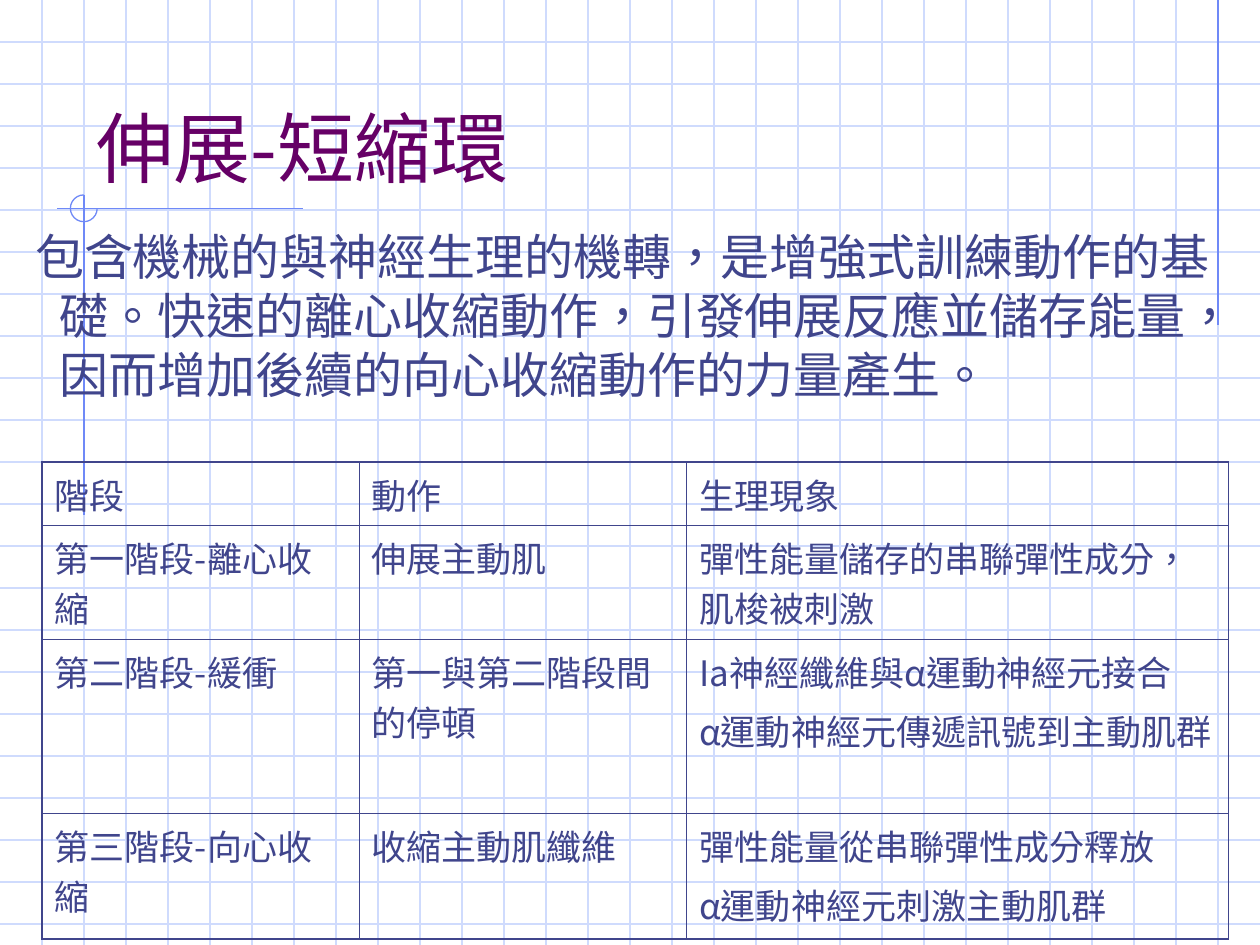
from pptx import Presentation
from pptx import util as u
from pptx.dml.color import RGBColor
from pptx.enum import lang, shapes, text
from pptx.oxml.ns import qn
from lxml import etree

WIDTH, HEIGHT = 25.4, 19.05
GRID_COLUMNS, GRID_ROWS = 30, 22
GRID_STEP = WIDTH / GRID_COLUMNS

TITLE = "伸展-短縮環"
SUMMARY = ("包含機械的與神經生理的機轉，是增強式訓練動作的基礎。"
           "快速的離心收縮動作，引發伸展反應並儲存能量，"
           "因而增加後續的向心收縮動作的力量產生。")
COLUMN_WIDTHS = [6.39, 6.6, 10.93]
ROW_HEIGHTS = [1.27, 2.3, 3.51, 2.54]
# Each cell is a list of paragraphs.
STAGES = [
    [["階段"], ["動作"], ["生理現象"]],
    [["第一階段-離心收縮"], ["伸展主動肌"],
     ["彈性能量儲存的串聯彈性成分，肌梭被刺激"]],
    [["第二階段-緩衝"], ["第一與第二階段間的停頓"],
     ["Ia神經纖維與α運動神經元接合", "α運動神經元傳遞訊號到主動肌群"]],
    [["第三階段-向心收縮"], ["收縮主動肌纖維"],
     ["彈性能量從串聯彈性成分釋放", "α運動神經元刺激主動肌群"]],
]


def color(value):
    return RGBColor.from_string(value)


def apply(target, values):
    """Set every attribute named in values on target."""
    for name, value in values.items():
        setattr(target, name, value)


class SlideBuilder:
    font = "Noto Sans CJK SC"
    ink, title_ink = "40458C", "660066"
    grid, accent = "CFDBFD", "6F89F7"
    thin, thick = 0.45, 1.08

    def __init__(self, page):
        self.page = page

    def line(self, x1, y1, x2, y2, ink):
        connector = self.page.shapes.add_connector(
            shapes.MSO_CONNECTOR.STRAIGHT,
            u.Cm(x1), u.Cm(y1), u.Cm(x2), u.Cm(y2))
        connector.line.color.rgb = color(ink)
        connector.line.width = u.Pt(0.75)
        etree.SubElement(connector._element.spPr, qn("a:effectLst"))

    def arc(self, left, top, size, start, end):
        """Draw a clockwise arc between two angles in degrees."""
        arc = self.page.shapes.add_shape(
            shapes.MSO_SHAPE.ARC, u.Cm(left), u.Cm(top), u.Cm(size), u.Cm(size))
        arc.shadow.inherit = False
        arc.fill.background()
        arc.line.color.rgb = color(self.accent)
        arc.line.width = u.Pt(0.75)
        # Adjustments count 60000ths of a degree in units of 100000.
        for index, angle in enumerate((start, end)):
            arc.adjustments[index] = angle * 0.6

    def span(self, para, words, size, ink):
        span = para.add_run()
        span.text = words
        apply(span.font, {"name": self.font, "size": u.Pt(size),
                          "language_id": lang.MSO_LANGUAGE_ID.TRADITIONAL_CHINESE})
        span.font.color.rgb = color(ink)
        etree.SubElement(span.font._element, qn("a:ea"), typeface=self.font)

    def text(self, left, top, width, height, words, size, ink, anchor):
        """Add a one-paragraph text box and return its paragraph."""
        box = self.page.shapes.add_textbox(
            u.Cm(left), u.Cm(top), u.Cm(width), u.Cm(height))
        apply(box.text_frame, {"word_wrap": True, "vertical_anchor": anchor})
        para = box.text_frame.paragraphs[0]
        self.span(para, words, size, ink)
        return para

    def border(self, cell, side, width):
        edge = etree.SubElement(cell._tc.get_or_add_tcPr(), qn(f"a:ln{side}"),
                                w=str(u.Pt(width)))
        fill = etree.SubElement(edge, qn("a:solidFill"))
        etree.SubElement(fill, qn("a:srgbClr"), val=self.ink)

    def table(self, left, top, widths, heights, rows, size):
        table = self.page.shapes.add_table(
            len(rows), len(widths), u.Cm(left), u.Cm(top),
            u.Cm(sum(widths)), u.Cm(sum(heights))).table
        apply(table, {"first_row": False, "horz_banding": False})
        for column, width in zip(table.columns, widths):
            column.width = u.Cm(width)
        for row, height in zip(table.rows, heights):
            row.height = u.Cm(height)
        last_row, last_column = len(rows) - 1, len(widths) - 1
        for r, row in enumerate(rows):
            for c, paragraphs in enumerate(row):
                cell = table.cell(r, c)
                outer = {"L": c == 0, "R": c == last_column,
                         "T": r == 0, "B": r == last_row}
                for side, is_outer in outer.items():
                    self.border(cell, side, self.thick if is_outer else self.thin)
                cell.fill.background()
                frame = cell.text_frame
                for index, words in enumerate(paragraphs):
                    para = frame.add_paragraph() if index else frame.paragraphs[0]
                    if index:
                        para.space_before = u.Pt(5)
                    self.span(para, words, size, self.ink)


def main():
    deck = Presentation()
    apply(deck, {"slide_width": u.Cm(WIDTH), "slide_height": u.Cm(HEIGHT)})
    builder = SlideBuilder(deck.slides.add_slide(deck.slide_layouts[6]))

    for row in range(1, GRID_ROWS + 1):
        builder.line(0, row * GRID_STEP, WIDTH, row * GRID_STEP, builder.grid)
    for column in range(1, GRID_COLUMNS):
        builder.line(column * GRID_STEP, 0, column * GRID_STEP, HEIGHT, builder.grid)

    right_rule, left_rule = 29 * GRID_STEP, 2 * GRID_STEP
    builder.line(right_rule, 0, right_rule, 6.55, builder.accent)
    builder.line(6.1, 4.2, 1.14, 4.2, builder.accent)
    builder.line(left_rule, 3.93, left_rule, 10.39, builder.accent)
    builder.arc(1.42, 3.93, 0.54, 0, 270)

    builder.text(1.69, 0.85, 21.59, 3.17, TITLE, 44, builder.title_ink,
                 text.MSO_ANCHOR.BOTTOM)
    summary = builder.text(0, 4.45, WIDTH, 5.08, SUMMARY, 28, builder.ink,
                           text.MSO_ANCHOR.TOP)
    indents = summary._p.get_or_add_pPr()
    indents.set("marL", str(u.Cm(0.96)))
    indents.set("indent", str(u.Cm(-0.5)))

    builder.table(GRID_STEP, 11 * GRID_STEP, COLUMN_WIDTHS, ROW_HEIGHTS, STAGES, 20)
    deck.save("out.pptx")


if __name__ == "__main__":
    main()
